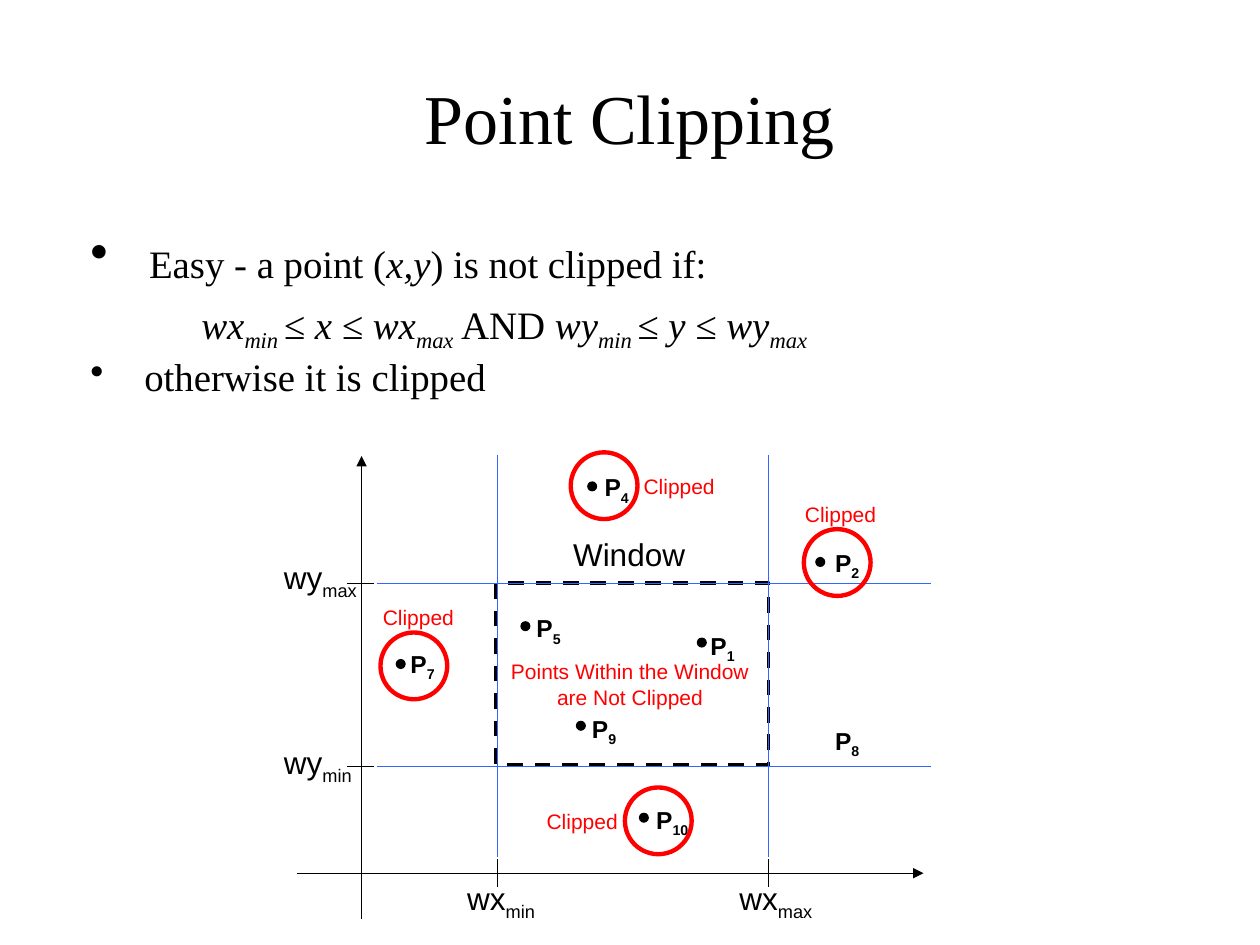
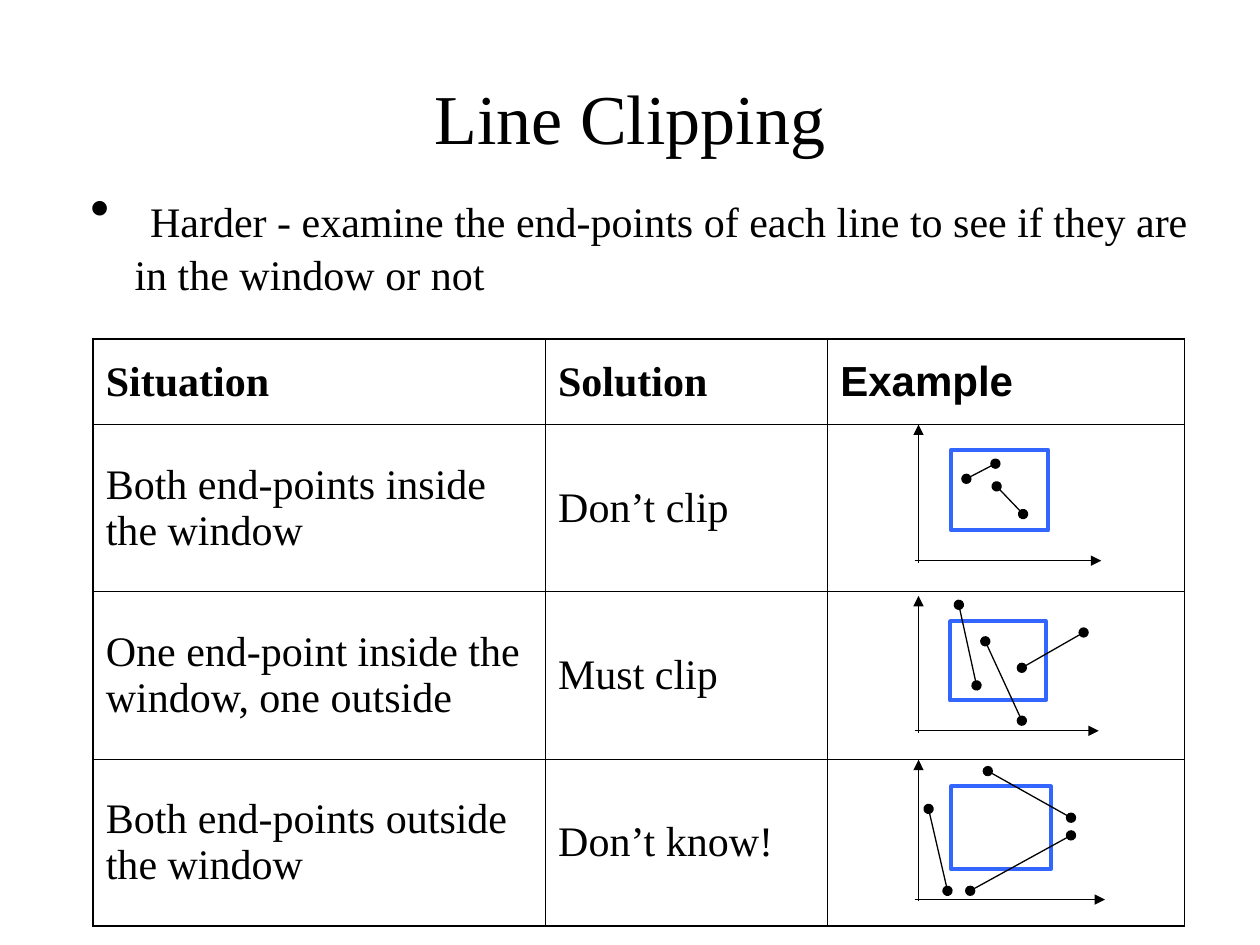
from lxml.etree import SubElement
from pptx import Presentation
from pptx.dml.color import RGBColor
from pptx.enum.dml import MSO_LINE
from pptx.enum.shapes import MSO_CONNECTOR, MSO_SHAPE
from pptx.enum.text import MSO_ANCHOR as Anchor, PP_ALIGN as Align
from pptx.oxml.ns import qn
from pptx.util import Inches, Pt

COLORS = {"ink": "000000", "clipped": "FF0000", "window": "3366FF"}
SERIF, SANS = "Times New Roman", "Arial"
COLUMNS, ROWS = 100, 75
THIN, THICK = 0.45, 1.08


class Deck:
    """Draws styled elements on the current slide of a 100 by 75 grid."""

    def __init__(self):
        self.presentation = Presentation()
        self.presentation.slide_width = Inches(10)
        self.presentation.slide_height = Inches(7.5)
        self.slide = None

    def x(self, columns):
        return round(self.presentation.slide_width * columns / COLUMNS)

    def y(self, rows):
        return round(self.presentation.slide_height * rows / ROWS)

    def area(self, left, top, width, height):
        return self.x(left), self.y(top), self.x(width), self.y(height)

    def color(self, name):
        return RGBColor.from_string(COLORS[name])

    def new_slide(self, title):
        layout = self.presentation.slide_layouts[6]
        self.slide = self.presentation.slides.add_slide(layout)
        self.text([(title, "")], (5, 3, 90, 12.5), 40, SERIF, wrap=True,
                  align=Align.CENTER, anchor=Anchor.MIDDLE)

    def style(self, paragraph, size, font, color="ink", bold=False):
        paragraph.font.size = Pt(size)
        paragraph.font.name = font
        paragraph.font.bold = bold
        paragraph.font.color.rgb = self.color(color)

    def runs(self, paragraph, runs):
        for text, marks in runs:
            run = paragraph.add_run()
            run.text = text
            if "i" in marks:
                run.font.italic = True
            if "s" in marks:
                run._r.get_or_add_rPr().set("baseline", "-25000")

    def text(self, runs, area, size, font=SANS, color="ink", bold=False,
             wrap=False, align=Align.LEFT, anchor=Anchor.TOP):
        frame = self.slide.shapes.add_textbox(*self.area(*area)).text_frame
        frame.word_wrap = wrap
        frame.vertical_anchor = anchor
        paragraph = frame.paragraphs[0]
        paragraph.alignment = align
        self.style(paragraph, size, font, color, bold)
        self.runs(paragraph, runs)

    def body(self, paragraphs, area, size, lead_size):
        frame = self.slide.shapes.add_textbox(*self.area(*area)).text_frame
        frame.word_wrap = True
        for index, (runs, bullet, spacing, before) in enumerate(paragraphs):
            paragraph = frame.add_paragraph() if index else frame.paragraphs[0]
            paragraph.line_spacing = spacing
            paragraph.space_before = Pt(before)
            properties = paragraph._p.get_or_add_pPr()
            properties.set("marL", str(self.x(4.7 if bullet else 10)))
            properties.set("indent", str(self.x(-3.5 if bullet else 0)))
            if bullet:
                SubElement(properties, qn("a:buChar"), char="•")
            self.style(paragraph, size, SERIF)
            self.runs(paragraph, runs)
        lead = frame.paragraphs[0].runs[0].font
        lead.size, lead.name = Pt(lead_size), SANS

    def line(self, start, end, color="ink", head=None, tail=None):
        connector = self.slide.shapes.add_connector(
            MSO_CONNECTOR.STRAIGHT, self.x(start[0]), self.y(start[1]),
            self.x(end[0]), self.y(end[1]))
        connector.line.width = Pt(0.75)
        connector.line.color.rgb = self.color(color)
        outline = connector.line._get_or_add_ln()
        for tag, kind in (("a:headEnd", head), ("a:tailEnd", tail)):
            if kind:
                SubElement(outline, qn(tag), type=kind)
        SubElement(connector._element.spPr, qn("a:effectLst"))

    def shape(self, kind, area, color="ink", width=None, dash=None):
        shape = self.slide.shapes.add_shape(kind, *self.area(*area))
        shape.shadow.inherit = False
        if width is None:
            shape.fill.solid()
            shape.fill.fore_color.rgb = self.color(color)
            shape.line.fill.background()
            return
        shape.fill.background()
        shape.line.width = Pt(width)
        shape.line.color.rgb = self.color(color)
        if dash:
            shape.line.dash_style = dash

    def border(self, cell, widths):
        properties = cell._tc.get_or_add_tcPr()
        for index, (side, width) in enumerate(zip("LRTB", widths)):
            line = properties.makeelement(qn(f"a:ln{side}"), w=str(Pt(width)))
            fill = SubElement(line, qn("a:solidFill"))
            SubElement(fill, qn("a:srgbClr"), val=COLORS["ink"])
            properties.insert(index, line)

    def table(self, rows, left, top, widths, heights):
        area = self.area(left, top, sum(widths), sum(heights))
        table = self.slide.shapes.add_table(len(heights), len(widths), *area).table
        table.first_row = table.horz_banding = False
        for column, width in zip(table.columns, widths):
            column.width = self.x(width)
        for row, height in zip(table.rows, heights):
            row.height = self.y(height)
        last_row, last_column = len(heights) - 1, len(widths) - 1
        for r, row in enumerate(rows):
            for c, text in enumerate(row):
                cell = table.cell(r, c)
                cell.fill.background()
                cell.vertical_anchor = Anchor.MIDDLE
                outer = (c == 0, c == last_column, r == 0, r == last_row)
                self.border(cell, [THICK if edge else THIN for edge in outer])
                paragraph = cell.text_frame.paragraphs[0]
                font = SANS if c == last_column else SERIF
                self.style(paragraph, 24, font, bold=r == 0)
                if text:
                    self.runs(paragraph, [(text, "")])

    def point(self, number, label, dot):
        if dot:
            self.shape(MSO_SHAPE.OVAL, (*dot, 0.8, 0.8))
        self.text([("P", ""), (str(number), "s")], (*label, 6, 3.7), 14, bold=True)

    def clipped(self, circle, label):
        self.shape(MSO_SHAPE.OVAL, (*circle, 5.3, 5.3), "clipped", 2.5)
        self.text([("Clipped", "")], (*label, 9, 3), 12, color="clipped")

    def example(self, base, right, top, window, segments):
        self.line((72.6, base), (right, base), tail="triangle")
        self.line((72.9, base + 0.15), (72.9, top), tail="triangle")
        self.shape(MSO_SHAPE.RECTANGLE, window, "window", 2.25)
        for start, end in segments:
            self.line(start, end, head="oval", tail="oval")


def add_point_clipping(deck):
    deck.new_slide("Point Clipping")
    condition = [("wx", "i"), ("min ", "is"), ("≤ x ≤ wx", "i"), ("max", "is"),
                 (" AND ", ""), ("wy", "i"), ("min ", "is"), ("≤ y ≤ wy", "i"),
                 ("max", "is")]
    easy = [(" ", ""), ("Easy - a point (", ""), ("x,y", "i"),
            (") is not clipped if:", "")]
    deck.body([(easy, True, 1.0, 0), (condition, False, 0.95, 6.5),
               ([(" otherwise it is clipped", "")], True, 0.9, 4)],
              (5, 17.5, 90, 16.1), 22.2, 29.6)

    x_min, x_max, y_max, y_min = 39.5, 61, 46.3, 60.85
    deck.line((23.6, 69.3), (73.3, 69.3), tail="triangle")
    deck.line((28.7, 72.9), (28.7, 36.2), tail="triangle")
    deck.shape(MSO_SHAPE.RECTANGLE, (39.4, y_max, 21.6, 14.4), width=2.25,
               dash=MSO_LINE.DASH)
    for name, level, top in (("max", y_max, 43.8), ("min", y_min, 58.5)):
        deck.line((29.7, level), (27.5, level))
        deck.line((29.9, level), (73.9, level), "window")
        deck.text([("wy", ""), (name, "s")], (21.55, top, 9, 4.4), 18)
    for name, level, left in (("min", x_min, 36.1), ("max", x_max, 57.7)):
        deck.line((level, 68.2), (level, 70.4))
        deck.line((level, 36.1), (level, 68), "window")
        deck.text([("wx", ""), (name, "s")], (left, 69.25, 9, 4.4), 18)
    deck.text([("Window", "")], (44.5, 42, 12, 4), 18)
    deck.text([("Points Within the Window are Not Clipped", "")],
              (39.4, 51.8, 21.2, 5), 12, color="clipped", wrap=True,
              align=Align.CENTER)

    for number, label, dot in (
            (1, (55.4, 49.6), (55.3, 50.6)), (2, (65.3, 43), (64.7, 44.2)),
            (4, (47, 37), (46.6, 38.2)), (5, (41.6, 48.2), (41.3, 49.3)),
            (7, (31.6, 51), (31.4, 52.3)), (8, (65.3, 57.1), None),
            (9, (46, 56.2), (45.7, 57.2)), (10, (51.1, 63.4), (50.7, 64.5))):
        deck.point(number, label, dot)
    for circle, label in (
            ((63.8, 42), (62.9, 39.3)), ((45.3, 35.9), (50.1, 37.1)),
            ((49.6, 62.5), (42.4, 63.7)), ((30.2, 50.2), (29.4, 47.5))):
        deck.clipped(circle, label)


def add_line_clipping(deck):
    deck.new_slide("Line Clipping")
    harder = [(" ", ""), ("Harder - examine the end-points of each line to see "
                          "if they are in the window or not", "")]
    deck.body([(harder, True, 1.0, 0)], (5, 13.9, 90.7, 16.5), 24, 32)
    deck.table([("Situation", "Solution", "Example"),
                ("Both end-points inside the window", "Don’t clip", ""),
                ("One end-point inside the window, one outside", "Must clip", ""),
                ("Both end-points outside the window", "Don’t know!", "")],
               7.4, 26.9, (35.9, 22.4, 28.3), (6.8, 13.27, 13.27, 13.27))
    deck.example(44.5, 87.4, 33.7, (75.5, 35.7, 7.7, 6.4),
                 [((76.7, 38), (79, 36.8)), ((79.1, 38.6), (81.2, 40.8))])
    deck.example(58, 87.2, 47.3, (75.4, 49.3, 7.6, 6.3),
                 [((81.1, 53), (86, 50.2)), ((78.2, 50.9), (81.1, 57.2)),
                  ((76.1, 48), (77.5, 54.4))])
    deck.example(71.4, 87.7, 60.3, (75.5, 62.4, 7.9, 6.6),
                 [((78.4, 61.2), (85, 64.9)), ((77, 70.7), (85, 66.3)),
                  ((73.7, 64.2), (75.2, 70.7))])


def main():
    deck = Deck()
    add_point_clipping(deck)
    add_line_clipping(deck)
    deck.presentation.save("out.pptx")


if __name__ == "__main__":
    main()
